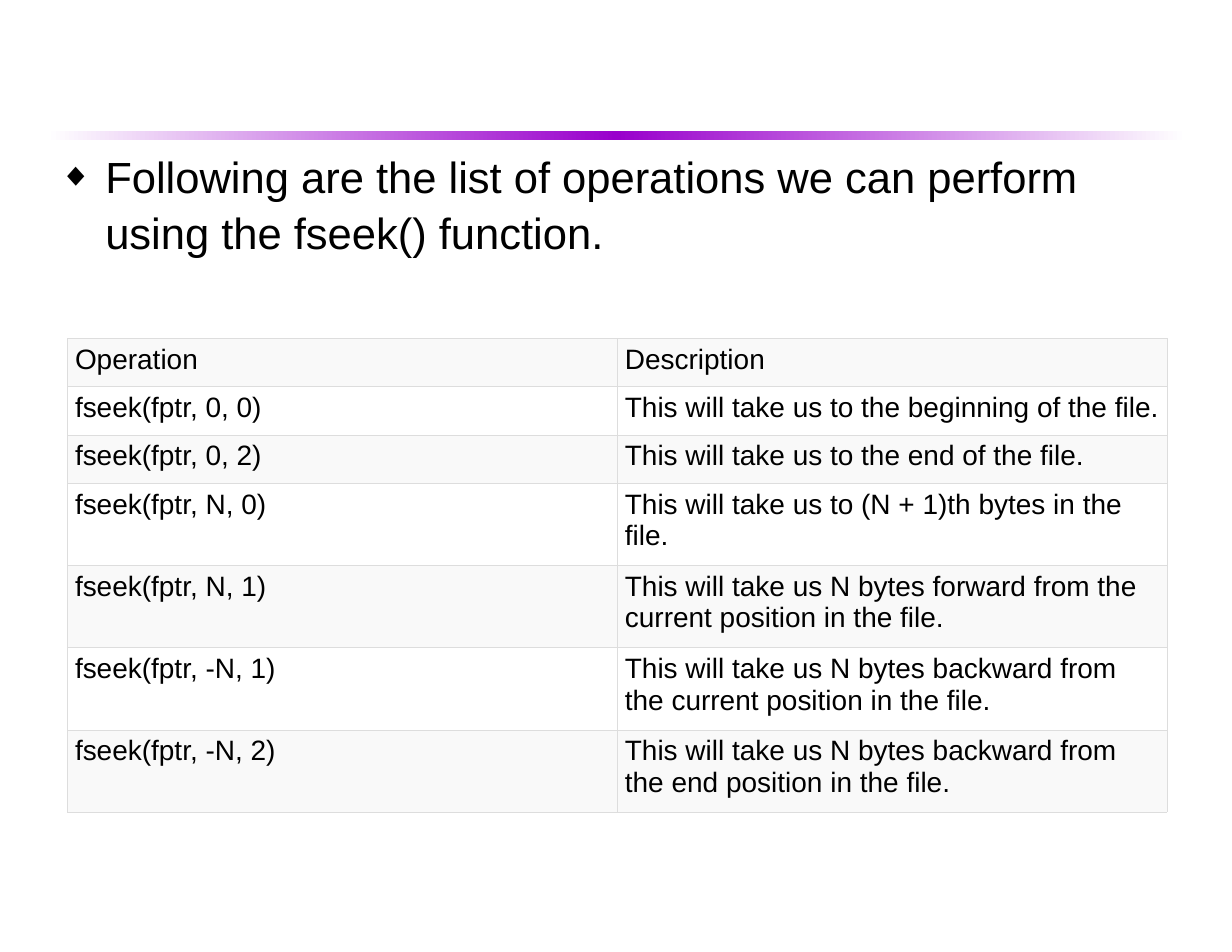
from copy import deepcopy

from lxml import etree
from pptx import Presentation
from pptx.dml.color import RGBColor
from pptx.enum.shapes import MSO_SHAPE
from pptx.enum.text import MSO_ANCHOR, MSO_AUTO_SIZE
from pptx.oxml.ns import qn
from pptx.util import Inches, Pt

RECTANGLE = MSO_SHAPE.RECTANGLE
TOP = MSO_ANCHOR.TOP
NO_AUTOFIT = MSO_AUTO_SIZE.NONE

BLACK = RGBColor(0x00, 0x00, 0x00)
WHITE = RGBColor(0xFF, 0xFF, 0xFF)
PURPLE = RGBColor(0x99, 0x00, 0xCC)
BAND = RGBColor(0xF9, 0xF9, 0xF9)
RULE = RGBColor(0xDD, 0xDD, 0xDD)
FONT = "Arial"

INTRO = "Following are the list of operations we can perform using the fseek() function."
OPERATIONS = [
    ("Operation", "Description"),
    ("fseek(fptr, 0, 0)", "This will take us to the beginning of the file."),
    ("fseek(fptr, 0, 2)", "This will take us to the end of the file."),
    ("fseek(fptr, N, 0)", "This will take us to (N + 1)th bytes in the file."),
    ("fseek(fptr, N, 1)", "This will take us N bytes forward from the current position in the file."),
    ("fseek(fptr, -N, 1)", "This will take us N bytes backward from the current position in the file."),
    ("fseek(fptr, -N, 2)", "This will take us N bytes backward from the end position in the file."),
]
SHORT_ROWS = 3
ROW_WEIGHTS = [0.43 if r < SHORT_ROWS else 0.73 for r in range(len(OPERATIONS))]

SLIDE_W, SLIDE_H = Inches(11), Inches(8.5)
BODY_LEFT, BODY_W = Inches(0.42), Inches(10.17)
BAR_TOP, BAR_H = Inches(1.17), Inches(0.08)
BODY_TOP, BODY_H = BAR_TOP + BAR_H, Inches(6.83)
TABLE_LEFT, TABLE_TOP = Inches(0.6), Inches(3.02)
TABLE_W, TABLE_H = Inches(9.82), Inches(4.23)


def set_font(paragraph, size):
    paragraph.font.name = FONT
    paragraph.font.size = Pt(size)
    paragraph.font.color.rgb = BLACK


def add_divider(slide):
    bar = slide.shapes.add_shape(RECTANGLE, BODY_LEFT, BAR_TOP, BODY_W, BAR_H)
    bar.shadow.inherit = False
    bar.line.fill.background()
    bar.fill.gradient()
    bar.fill.gradient_angle = 0
    first = bar.fill.gradient_stops[0]._gs
    first.addnext(deepcopy(first))
    for stop, (position, color) in zip(
        bar.fill.gradient_stops, [(0, WHITE), (0.5, PURPLE), (1, WHITE)]
    ):
        stop.position = position
        stop.color.rgb = color


def fill_body(body):
    body.left, body.top, body.width, body.height = BODY_LEFT, BODY_TOP, BODY_W, BODY_H
    frame = body.text_frame
    frame.auto_size = NO_AUTOFIT
    frame.word_wrap = True
    frame.vertical_anchor = TOP
    frame.margin_left = frame.margin_right = Inches(0.11)
    frame.margin_top = frame.margin_bottom = Inches(0.06)
    intro = frame.paragraphs[0]
    intro.text = INTRO
    intro.space_before = Pt(7)
    intro.line_spacing = 1.07
    set_font(intro, 28)
    props = intro._p.get_or_add_pPr()
    props.set("marL", str(Inches(0.41)))
    props.set("indent", str(-Inches(0.41)))
    bullet = [
        etree.Element(qn("a:buClr")),
        etree.Element(qn("a:buSzPct"), val="75000"),
        etree.Element(qn("a:buFont"), typeface=FONT),
        etree.Element(qn("a:buChar"), char="◆"),
    ]
    etree.SubElement(bullet[0], qn("a:srgbClr"), val=str(BLACK))
    defaults = props.find(qn("a:defRPr"))
    for part in bullet:
        defaults.addprevious(part)


def add_borders(cell):
    props = cell._tc.get_or_add_tcPr()
    for index, side in enumerate(("a:lnL", "a:lnR", "a:lnT", "a:lnB")):
        line = etree.Element(qn(side), w=str(Pt(0.28)))
        fill = etree.SubElement(line, qn("a:solidFill"))
        etree.SubElement(fill, qn("a:srgbClr"), val=str(RULE))
        props.insert(index, line)


def add_operations(slide):
    table = slide.shapes.add_table(
        len(OPERATIONS), len(OPERATIONS[0]), TABLE_LEFT, TABLE_TOP, TABLE_W, TABLE_H
    ).table
    for row, weight in zip(table.rows, ROW_WEIGHTS):
        row.height = round(TABLE_H * weight / sum(ROW_WEIGHTS))
    for r, texts in enumerate(OPERATIONS):
        for c, text in enumerate(texts):
            cell = table.cell(r, c)
            cell.text = text
            cell.margin_left = cell.margin_right = Inches(0.07)
            cell.margin_top = cell.margin_bottom = Inches(0.05)
            cell.fill.solid()
            cell.fill.fore_color.rgb = WHITE if r % 2 else BAND
            paragraph = cell.text_frame.paragraphs[0]
            set_font(paragraph, 18)
            paragraph.font.bold = False
            add_borders(cell)


def main():
    deck = Presentation()
    deck.slide_width, deck.slide_height = SLIDE_W, SLIDE_H
    slide = deck.slides.add_slide(deck.slide_layouts[1])
    title = slide.shapes.title._element
    title.getparent().remove(title)
    add_divider(slide)
    fill_body(slide.placeholders[1])
    add_operations(slide)
    deck.save("out.pptx")


if __name__ == "__main__":
    main()
